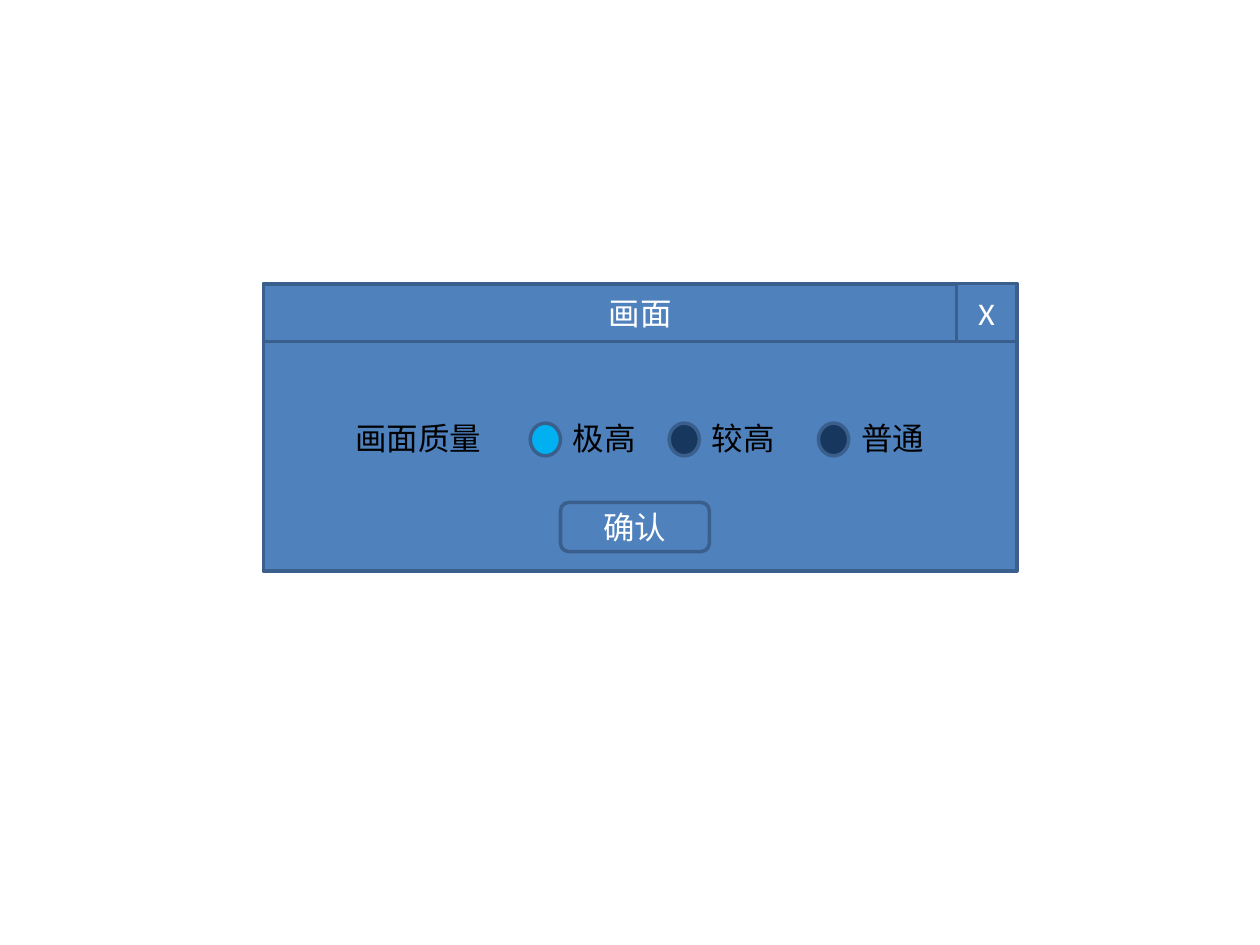
from pptx import Presentation
from pptx.dml.color import RGBColor
from pptx.enum.shapes import MSO_SHAPE
from pptx.enum.text import MSO_ANCHOR, MSO_AUTO_SIZE, PP_ALIGN
from pptx.util import Cm, Pt

RECTANGLE = MSO_SHAPE.RECTANGLE
ROUNDED = MSO_SHAPE.ROUNDED_RECTANGLE
CIRCLE = MSO_SHAPE.FLOWCHART_CONNECTOR
MIDDLE, TOP = MSO_ANCHOR.MIDDLE, MSO_ANCHOR.TOP
CENTER, LEFT = PP_ALIGN.CENTER, PP_ALIGN.LEFT
NO_FIT = MSO_AUTO_SIZE.NONE
GROW = MSO_AUTO_SIZE.SHAPE_TO_FIT_TEXT

BLUE = RGBColor(0x4F, 0x81, 0xBD)
BORDER = RGBColor(0x3A, 0x5F, 0x8C)
SELECTED = RGBColor(0x00, 0xB0, 0xF0)
UNSELECTED = RGBColor(0x17, 0x37, 0x5E)
WHITE = RGBColor(0xFF, 0xFF, 0xFF)
BLACK = RGBColor(0x00, 0x00, 0x00)

TITLE = "画面"
CLOSE = "X"
SETTING = "画面质量"
CONFIRM = "确认"
OPTIONS = [
    ("极高", 10.69, SELECTED),
    ("较高", 13.49, UNSELECTED),
    ("普通", 16.5, UNSELECTED),
]

WINDOW_LEFT, WINDOW_TOP, WINDOW_WIDTH, WINDOW_HEIGHT = 5.31, 5.72, 15.19, 5.79
BAR_HEIGHT, CLOSE_WIDTH = 1.17, 1.22
LABEL_TOP, LABEL_HEIGHT = 8.33, 1.02
RADIO_TOP, RADIO_WIDTH, RADIO_HEIGHT = 8.53, 0.61, 0.66

CONTROL_FRAME = {"vertical_anchor": MIDDLE, "auto_size": NO_FIT, "word_wrap": True}
LABEL_FRAME = {"vertical_anchor": TOP, "auto_size": GROW, "word_wrap": True}
FONT = {"name": "Calibri", "size": Pt(18)}


def set_all(target, values):
    for name, value in values.items():
        setattr(target, name, value)


def write(box, text, frame_format, alignment, color):
    set_all(box.text_frame, frame_format)
    para = box.text_frame.paragraphs[0]
    para.alignment = alignment
    span = para.add_run()
    span.text = text
    set_all(span.font, FONT)
    span.font.color.rgb = color


def paint(box, color):
    box.fill.solid()
    box.fill.fore_color.rgb = color
    box.line.color.rgb = BORDER
    box.line.width = Pt(2)


def add_control(page, kind, place, color=BLUE, text=None):
    box = page.shapes.add_shape(kind, *map(Cm, place))
    box.shadow.inherit = False
    paint(box, color)
    if text:
        write(box, text, CONTROL_FRAME, CENTER, WHITE)


def add_label(page, left, width, text):
    box = page.shapes.add_textbox(*map(Cm, (left, LABEL_TOP, width, LABEL_HEIGHT)))
    write(box, text, LABEL_FRAME, LEFT, BLACK)


def add_title_bar(page):
    bar = page.shapes.title
    place = (WINDOW_LEFT, WINDOW_TOP, WINDOW_WIDTH, BAR_HEIGHT)
    set_all(bar, dict(zip(("left", "top", "width", "height"), map(Cm, place))))
    paint(bar, BLUE)
    write(bar, TITLE, CONTROL_FRAME, CENTER, WHITE)
    bar.element.getparent().append(bar.element)


def main():
    deck = Presentation()
    deck.slide_width, deck.slide_height = Cm(25.4), Cm(19.05)
    page = deck.slides.add_slide(deck.slide_layouts.get_by_name("Title Only"))

    add_control(page, RECTANGLE, (WINDOW_LEFT, WINDOW_TOP, WINDOW_WIDTH, WINDOW_HEIGHT))
    add_title_bar(page)
    add_label(page, 6.91, 4.8, SETTING)
    for text, left, color in OPTIONS:
        add_control(page, CIRCLE, (left, RADIO_TOP, RADIO_WIDTH, RADIO_HEIGHT), color)
        add_label(page, left + RADIO_WIDTH, 2.01, text)

    close_left = WINDOW_LEFT + WINDOW_WIDTH - CLOSE_WIDTH
    add_control(page, RECTANGLE, (close_left, WINDOW_TOP, CLOSE_WIDTH, BAR_HEIGHT), text=CLOSE)
    add_control(page, ROUNDED, (11.3, 10.13, 3, 0.99), text=CONFIRM)
    deck.save("out.pptx")


if __name__ == "__main__":
    main()
